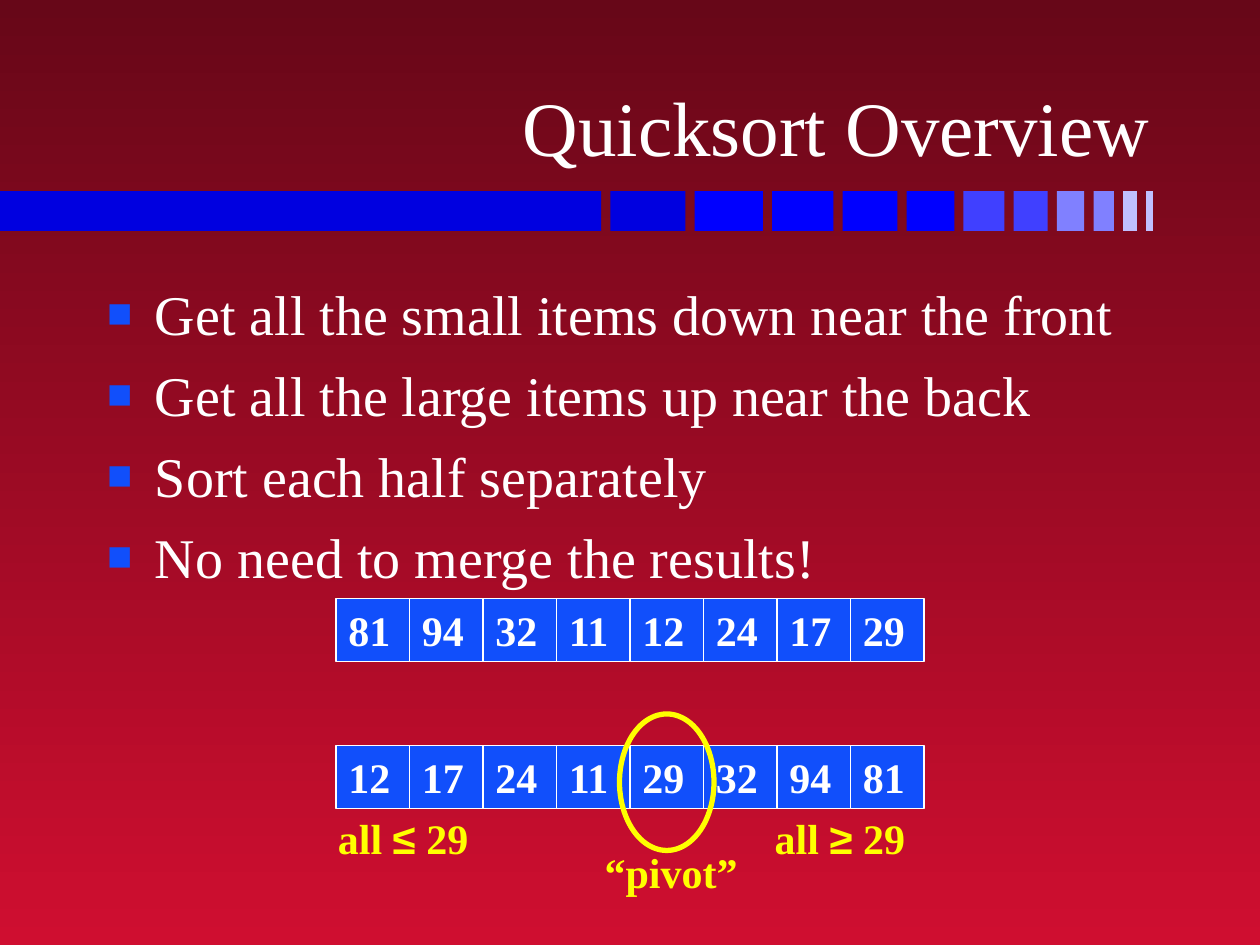
from dataclasses import dataclass
from typing import Any

from lxml.etree import SubElement
from pptx import Presentation
from pptx.dml.color import RGBColor
from pptx.enum.shapes import MSO_SHAPE as Shape
from pptx.enum.text import MSO_ANCHOR as Anchor, MSO_AUTO_SIZE as Fit, PP_ALIGN as Align
from pptx.oxml.ns import qn
from pptx.util import Inches, Pt

GRID = Inches(1) // 12


def color(hex_code):
    return RGBColor.from_string(hex_code)


def write(paragraph, text, size=24, fill="FFFFFF", bold=False, face="Times New Roman"):
    run = paragraph.add_run()
    run.text = text
    run.font.size = Pt(size)
    run.font.bold = bold
    run.font.name = face
    run.font.color.rgb = color(fill)


def place(item, col, row, cols, rows):
    item.left, item.top, item.width, item.height = (
        round(length * GRID) for length in (col, row, cols, rows))


@dataclass
class Board:
    slide: Any
    shapes: Any
    blue: str = "114FFB"
    white: str = "FFFFFF"
    yellow: str = "FFFF00"
    symbol_face: str = "Arial"

    def background(self, top, bottom):
        fill = self.slide.background.fill
        fill.gradient()
        fill.gradient_angle = 270
        for stop, shade in zip(fill.gradient_stops, (top, bottom)):
            stop.color.rgb = color(shade)

    def title(self, text, *box):
        heading = self.slide.shapes.title
        place(heading, *box)
        frame = heading.text_frame
        frame.vertical_anchor = Anchor.BOTTOM
        frame.auto_size = Fit.NONE
        frame.paragraphs[0].alignment = Align.RIGHT
        write(frame.paragraphs[0], text, size=44)

    def bullets(self, points, *box):
        body = self.slide.placeholders[1]
        place(body, *box)
        frame = body.text_frame
        frame.auto_size = Fit.NONE
        for index, point in enumerate(points):
            paragraph = frame.add_paragraph() if index else frame.paragraphs[0]
            self.square_bullet(paragraph)
            paragraph.space_before = Pt(8 if index else 0)
            write(paragraph, point, size=32)

    def square_bullet(self, paragraph):
        props = paragraph._p.get_or_add_pPr()
        props.set("marL", str(Inches(0.38)))
        props.set("indent", str(-Inches(0.38)))
        tint = SubElement(props, qn("a:buClr"))
        SubElement(tint, qn("a:srgbClr"), val=self.blue)
        SubElement(props, qn("a:buSzPct"), val="75000")
        SubElement(props, qn("a:buChar"), char="■")

    def shape(self, kind, *box, fill=None, line=None, weight=1):
        item = self.shapes.add_shape(kind, 0, 0, GRID, GRID)
        place(item, *box)
        item.shadow.inherit = False
        if fill:
            item.fill.solid()
            item.fill.fore_color.rgb = color(fill)
        else:
            item.fill.background()
        if line:
            item.line.color.rgb = color(line)
            item.line.width = Pt(weight)
        else:
            item.line.fill.background()
        return item

    def fading_bar(self, row, rows, first_end, end, shades):
        self.shape(Shape.RECTANGLE, 0, row, first_end, rows, fill=shades[0])
        widths = [0.65 * step for step in range(len(shades) - 1, 0, -1)]
        gap = (end - first_end - sum(widths)) / len(widths)
        col = first_end + gap
        for width, shade in zip(widths, shades[1:]):
            self.shape(Shape.RECTANGLE, col, row, width, rows, fill=shade)
            col += width + gap

    def array(self, values, col, row, cols=7, rows=6):
        for index, value in enumerate(values):
            cell = self.shape(Shape.RECTANGLE, col + index * cols, row, cols, rows,
                              fill=self.blue, line=self.white)
            frame = cell.text_frame
            frame.word_wrap = False
            frame.vertical_anchor = Anchor.MIDDLE
            frame.paragraphs[0].alignment = Align.LEFT
            write(frame.paragraphs[0], str(value), bold=True)

    def label(self, parts, *box):
        note = self.shapes.add_textbox(0, 0, GRID, GRID)
        frame = note.text_frame
        frame.word_wrap = False
        frame.auto_size = Fit.SHAPE_TO_FIT_TEXT
        place(note, *box)
        for part in parts:
            face = self.symbol_face if part in "≤≥" else "Times New Roman"
            write(frame.paragraphs[0], part, fill=self.yellow, bold=True, face=face)

    def start_group(self):
        self.shapes = self.slide.shapes.add_group_shape().shapes


def main():
    deck = Presentation()
    deck.slide_width, deck.slide_height = Inches(10), Inches(7.5)
    slide = deck.slides.add_slide(deck.slide_layouts[1])
    board = Board(slide, slide.shapes)

    board.background("670718", "CF0E30")
    board.fading_bar(18.2, 3.8, 57.25, 109.8,
                     ["0000E0"] * 2 + ["0000FF"] * 4 + ["4040FF"] * 2
                     + ["8080FF"] * 2 + ["C0C0FF"] * 2)
    board.title("Quicksort Overview", 8.9, 2.25, 101.8, 14.75)
    board.bullets(["Get all the small items down near the front",
                   "Get all the large items up near the back",
                   "Sort each half separately",
                   "No need to merge the results!"], 9, 26, 102, 54)

    board.array([81, 94, 32, 11, 12, 24, 17, 29], 32, 57)

    board.start_group()
    board.array([12, 17, 24, 11, 29, 32, 94, 81], 32, 71)
    board.label(["all ", "≤", " 29"], 31, 76.8, 16, 6)
    board.label(["all ", "≥", " 29"], 72.6, 76.8, 16, 6)
    board.shape(Shape.OVAL, 59, 68, 9, 13, line=board.yellow, weight=3)
    board.label(["“pivot”"], 56.4, 80, 15.5, 6)

    deck.save("out.pptx")


if __name__ == "__main__":
    main()
